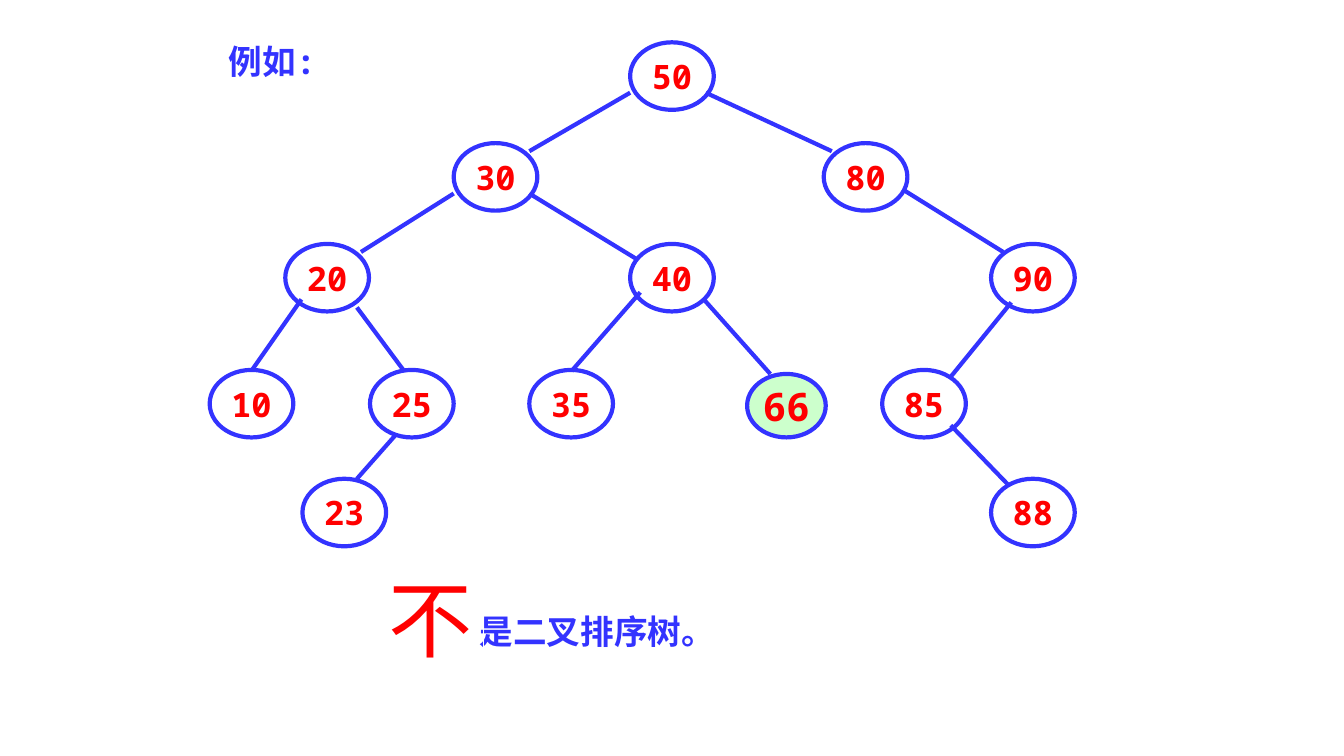
import pptx
import pptx.dml.color
import pptx.enum.shapes
import pptx.enum.text
import pptx.util
import lxml.etree

Inches = pptx.util.Inches
Pt = pptx.util.Pt
BLUE = pptx.dml.color.RGBColor(0x33, 0x33, 0xFF)
RED = pptx.dml.color.RGBColor(0xFF, 0x00, 0x00)
GREEN = pptx.dml.color.RGBColor(0xCC, 0xFF, 0xCC)
WHITE = pptx.dml.color.RGBColor(0xFF, 0xFF, 0xFF)
FONT = "Noto Sans Mono"
NODE_SIZE = (0.83, 0.67)
WRONG_NODE_SIZE = (0.78, 0.63)

LEVELS = [
    (0, {"50": 4.17}),
    (1, {"30": 2.42, "80": 6.09}),
    (2, {"20": 0.75, "40": 4.17, "90": 7.75}),
    (3.25, {"10": 0, "25": 1.59, "35": 3.17, "85": 6.67}),
    (4.33, {"23": 0.92, "88": 7.75}),
]
EDGES = [
    (4.17, 0.5, 3.17, 1.08),
    (4.92, 0.5, 6.17, 1.08),
    (2.42, 1.5, 1.5, 2.08),
    (3.17, 1.5, 4.25, 2.16),
    (6.89, 1.47, 7.87, 2.08),
    (0.91, 2.55, 0.42, 3.25),
    (1.46, 2.63, 1.92, 3.25),
    (4.27, 2.48, 3.59, 3.26),
    (4.9, 2.55, 5.56, 3.29),
    (7.95, 2.58, 7.34, 3.33),
    (1.84, 3.9, 1.46, 4.33),
    (7.35, 3.8, 7.92, 4.39),
]


def write_text(shape, text, size, color, bold=True):
    """Put one formatted, unwrapped line of text in a shape."""
    frame = shape.text_frame
    frame.text = text
    frame.word_wrap = False
    font = frame.paragraphs[0].runs[0].font
    font.name = FONT
    font.size = Pt(size)
    font.bold = bold
    font.color.rgb = color


def add_edge(page, left, top, edge):
    """Draw one tree edge relative to the tree's top left corner."""
    start_x, start_y, end_x, end_y = edge
    line = page.shapes.add_connector(
        pptx.enum.shapes.MSO_CONNECTOR.STRAIGHT,
        Inches(left + start_x), Inches(top + start_y),
        Inches(left + end_x), Inches(top + end_y))
    line.line.color.rgb = BLUE
    line.line.width = Pt(3)
    lxml.etree.SubElement(line._element.spPr, pptx.oxml.ns.qn("a:effectLst"))


def add_node(page, left, top, key, size=NODE_SIZE, text_size=24, fill=None):
    """Draw one tree node with its key in the middle."""
    width, height = size
    node = page.shapes.add_shape(
        pptx.enum.shapes.MSO_SHAPE.OVAL,
        Inches(left), Inches(top), Inches(width), Inches(height))
    node.shadow.inherit = False
    if fill is None:
        node.fill.background()
    else:
        node.fill.solid()
        node.fill.fore_color.rgb = fill
    node.line.color.rgb = BLUE
    node.line.width = Pt(3)
    write_text(node, key, text_size, RED)
    node.text_frame.vertical_anchor = pptx.enum.text.MSO_ANCHOR.MIDDLE
    node.text_frame.paragraphs[0].alignment = pptx.enum.text.PP_ALIGN.CENTER


def add_tree(page, left, top):
    """Draw the binary tree with its misplaced node highlighted."""
    for edge in EDGES:
        add_edge(page, left, top, edge)
    for level_top, nodes in LEVELS:
        for key, node_left in nodes.items():
            add_node(page, left + node_left, top + level_top, key)
    add_node(page, left + 5.33, top + 3.29, "66", WRONG_NODE_SIZE, 28, GREEN)


def add_label(page, box, text, size, color, bold=True):
    """Add a white-outlined line of text in the given box."""
    label = page.shapes.add_textbox(*map(Inches, box))
    label.line.color.rgb = WHITE
    label.line.width = Pt(0.75)
    write_text(label, text, size, color, bold)
    label.text_frame.auto_size = pptx.enum.text.MSO_AUTO_SIZE.SHAPE_TO_FIT_TEXT


def add_conclusion(page, left, top):
    """Add the conclusion with its large red negation."""
    add_label(page, (left + 0.91, top + 0.43, 2.57, 0.5), "是二叉排序树。", 24, BLUE)
    add_label(page, (left, top, 1.05, 1.11), "不", 60, RED, bold=False)


def main():
    """Build the slide and save the deck."""
    deck = pptx.Presentation()
    deck.slide_width = Inches(13.33)
    deck.slide_height = Inches(7.5)
    page = deck.slides.add_slide(deck.slide_layouts[6])
    add_tree(page, 2.08, 0.42)
    add_label(page, (2.17, 0.36, 1.06, 0.5), "例如:", 24, BLUE)
    add_conclusion(page, 3.75, 5.58)
    deck.save("out.pptx")


if __name__ == "__main__":
    main()
